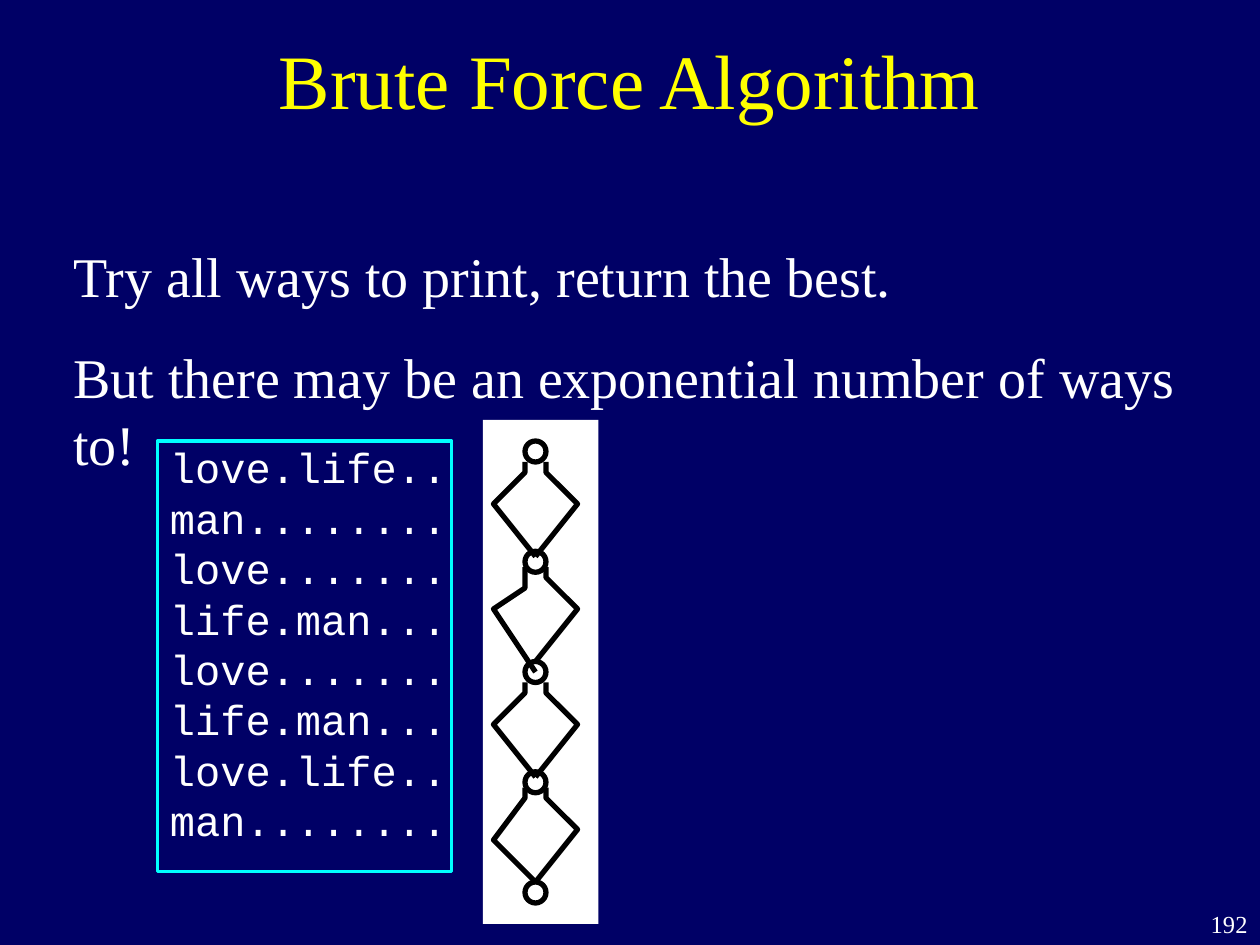
from lxml import etree
from pptx import Presentation
from pptx import util as u
from pptx.dml import color
from pptx.enum import shapes, text

# Grid of 120 columns by 90 rows, each cell 1/12 inch
CELL = u.Inches(1) // 12
SERIF, MONO = "Times New Roman", "Courier New"


def rgb(value):
    return color.RGBColor.from_string(value)


def add_text(words, box, size, ink="FFFFFF", face=SERIF, align=text.PP_ALIGN.LEFT,
             anchor=text.MSO_ANCHOR.TOP, leading=None):
    """Add a text box whose box is left, top, width, height in grid cells."""
    frame = slide.shapes.add_textbox(*[int(n * CELL) for n in box]).text_frame
    frame.word_wrap = True
    frame.vertical_anchor = anchor
    frame.text = words
    paragraph = frame.paragraphs[0]
    paragraph.alignment = align
    if leading:
        paragraph.line_spacing = u.Pt(leading)
    for run in paragraph.runs:
        run.font.size = u.Pt(size)
        run.font.name = face
        run.font.color.rgb = rgb(ink)


presentation = Presentation()
presentation.slide_width = 120 * CELL
presentation.slide_height = 90 * CELL
slide = presentation.slides.add_slide(presentation.slide_layouts[6])
slide.background.fill.solid()
slide.background.fill.fore_color.rgb = rgb("000066")

# Page number, title and second statement
add_text("192", (114, 86, 6, 4), 14, align=text.PP_ALIGN.RIGHT)
add_text("Brute Force Algorithm", (9, 0, 102, 15), 44, "FFFF00",
         align=text.PP_ALIGN.CENTER, anchor=text.MSO_ANCHOR.MIDDLE)
add_text("But there may be an exponential number of ways to!",
         (5.8, 32, 112.8, 7.6), 32, leading=38.4)

# White panel with a chain of nodes, each pair joined by two branches
chain = slide.shapes.add_group_shape()
panel = chain.shapes.add_shape(shapes.MSO_SHAPE.RECTANGLE,
                               46 * CELL, 40 * CELL, 11 * CELL, 48 * CELL)
panel.shadow.inherit = False
panel.fill.solid()
panel.fill.fore_color.rgb = rgb("FFFFFF")
panel.line.fill.background()

NODES, PITCH = 5, 10.5
CENTRE_X, FIRST_Y = 51, 43
left_branch = [(-0.5, 0.8), (-1, 1.04), (-1.1, 1.6), (-1.4, 2), (-4, 5), (0, 10)]
right_branch = [(0.5, 0.6), (1, 0.92), (1.1, 1.5), (1.4, 1.9), (4, 4.9), (0, 9.8)]
for index in range(NODES):
    centre_y = FIRST_Y + index * PITCH
    outlines = [chain.shapes.add_shape(
        shapes.MSO_SHAPE.OVAL, (CENTRE_X - 1) * CELL, int((centre_y - 1) * CELL),
        2 * CELL, 2 * CELL)]
    if index < NODES - 1:
        for branch in (left_branch, right_branch):
            points = [(CENTRE_X + dx, centre_y + dy) for dx, dy in branch]
            builder = chain.shapes.build_freeform(*points[0], scale=CELL)
            builder.add_line_segments(points[1:], close=False)
            outlines.append(builder.convert_to_shape())
    for outline in outlines:
        outline.shadow.inherit = False
        outline.fill.background()
        outline.line.color.rgb = rgb("000000")
        outline.line.width = u.Pt(3)

# First statement and the framed print-out
add_text("Try all ways to print, return the best.", (5.8, 22.4, 80.5, 7.6), 32,
         leading=38.4)
printout = ["love.life..", "man........", "love.......", "life.man...",
            "love.......", "life.man...", "love.life..", "man........"]
add_text("\v".join(printout), (15, 41.5, 40.7, 40), 24, face=MONO, leading=28.8)
frame_box = slide.shapes.add_shape(shapes.MSO_SHAPE.RECTANGLE,
                                   15 * CELL, 42 * CELL, 28 * CELL, 41 * CELL)
frame_box.shadow.inherit = False
frame_box.fill.background()
frame_box.line.color.rgb = rgb("00FFFF")
frame_box.line.width = u.Pt(2)

presentation.save("out.pptx")
